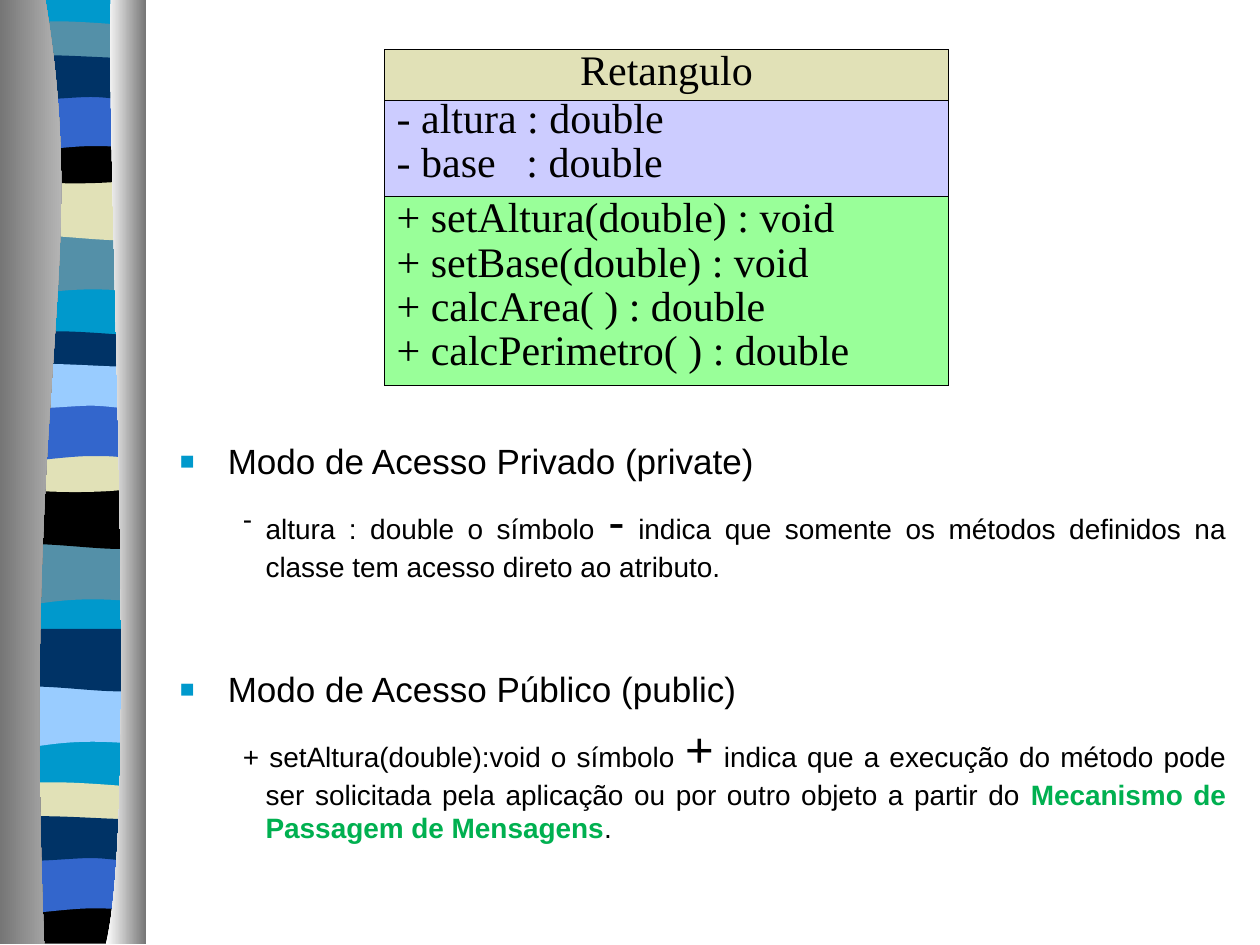
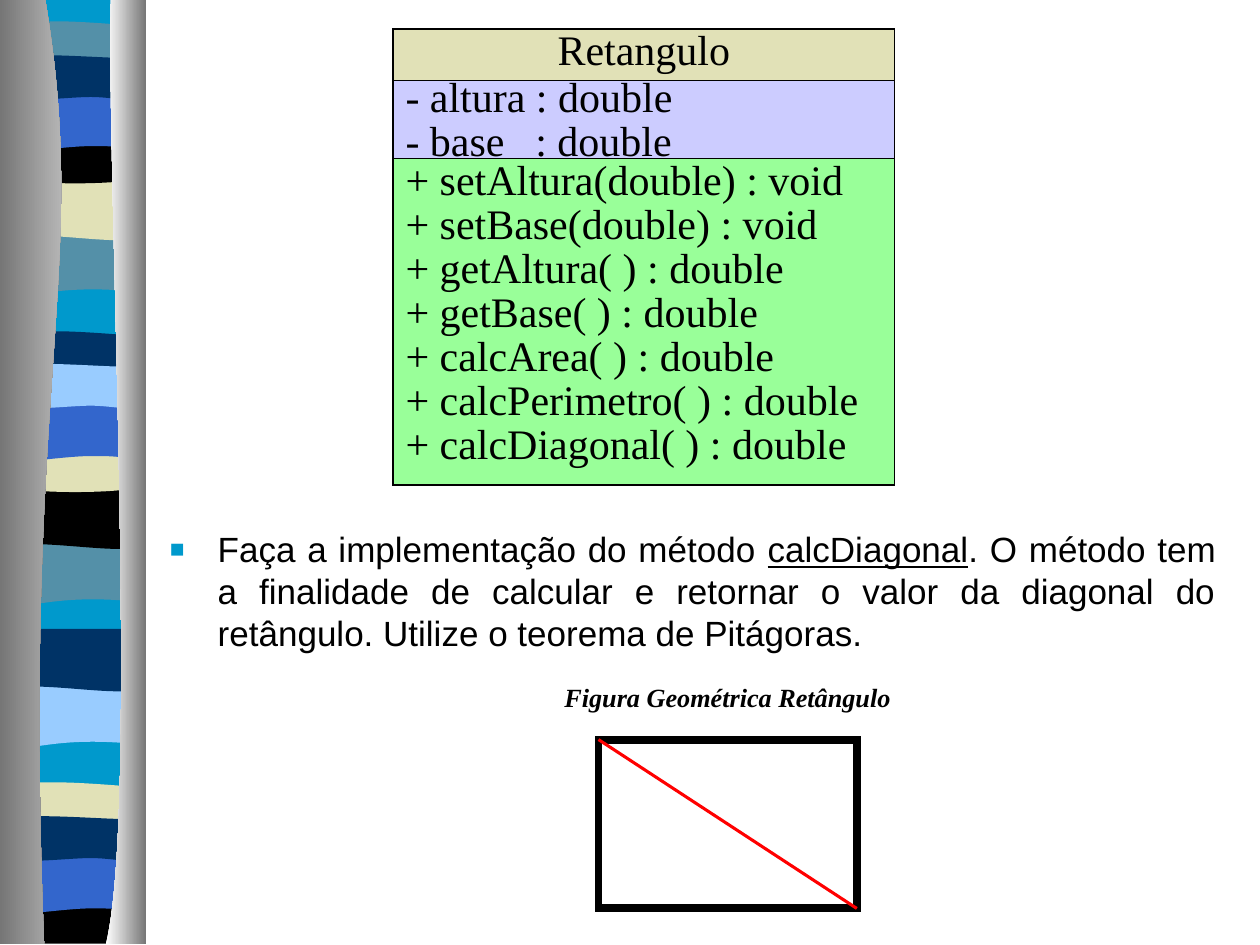
import pptx
import pptx.util
import pptx.dml.color
import pptx.enum.shapes
import pptx.enum.text
import lxml.etree

Inches, Pt = pptx.util.Inches, pptx.util.Pt
ALIGN = pptx.enum.text.PP_ALIGN
RECTANGLE = pptx.enum.shapes.MSO_SHAPE.RECTANGLE
A = "{http://schemas.openxmlformats.org/drawingml/2006/main}"

BLACK, TEAL, CYAN, SAND = "000000", "5490A8", "0099CC", "E1E1B7"
NAVY, ROYAL, SKY = "003366", "3366CC", "99CCFF"
LILAC, MINT, GREEN, RED = "CCCCFF", "99FF99", "00B050", "FF0000"
GREY, LIGHT_GREY, WHITE = "767676", "D3D3D3", "FFFFFF"
L, R = 0.05, 1.13

# Each outline is a start point, then line ends (2 numbers) or curves (6 numbers).
WAVES = {
    "dip": [(R, 0), (R, 0.47), (0.39, 0.39, 0.24, 0.55, L, 0.47), (L, 0)],
    "swell": [(R, 0), (R, 0.47), (0.96, 0.55, 0.39, 0.42, L, 0.47), (L, 0)],
    "thin": [(R, 0.05), (R, 0.29), (0.96, 0.34, 0.24, 0.34, L, 0.29), (L, 0.05),
             (0.12, 0, 0.29, 0.01, 0.47, 0.01), (0.65, 0.01, 1, 0.04, R, 0.05)],
    "bowl": [(R, 0), (R, 0.33), (0.96, 0.39, 0.24, 0.39, L, 0.33), (L, 0),
             (0.72, 0.05, 0.91, 0, R, 0)],
    "arch": [(R, 0), (R, 0.47), (0.97, 0.42, 0.9, 0.42, 0.72, 0.42),
             (0.54, 0.42, 0.22, 0.47, L, 0.47), (L, 0)],
    "ripple": [(R, 0.05), (R, 0.36), (1.07, 0.41, 0.9, 0.36, 0.72, 0.36),
               (0.54, 0.36, 0.17, 0.41, L, 0.36), (L, 0.05),
               (0.21, 0, 0.79, 0.05, 0.97, 0.05), (1.15, 0.05, 1.1, 0.05, R, 0.05)],
    "foot": [(R, 0), (R, 0.37), (L, 0.37), (L, 0), (0.71, 0.05, 0.9, 0, R, 0)],
    "backing": [(R, 0), (R, 7.47), (L, 7.47), (L, 0)],
}
RIBBON = [
    ("backing", 0, CYAN), ("dip", 1.85, TEAL), ("swell", 1.41, SAND),
    ("thin", 0.16, TEAL), ("bowl", 1.08, BLACK), ("arch", 0.74, ROYAL),
    ("ripple", 0.41, NAVY), ("dip", 4.31, TEAL), ("swell", 3.86, BLACK),
    ("thin", 2.62, NAVY), ("bowl", 3.53, SAND), ("arch", 3.2, ROYAL),
    ("ripple", 2.86, SKY), ("dip", 5.44, SKY), ("swell", 4.99, NAVY),
    ("thin", 6.2, SAND), ("foot", 7.12, BLACK), ("arch", 6.79, ROYAL),
    ("ripple", 6.45, NAVY),
]
CURTAINS = [
    ([(0.36, 0), (0.72, 2.16, 0.17, 2.96, 0.35, 7.49), (0, 7.49), (0, 0)],
     (GREY, LIGHT_GREY)),
    ([(0.88, 0), (0.84, 1.25, 1.11, 6.46, 0.84, 7.49), (1.16, 7.49), (1.16, 0)],
     (WHITE, GREY)),
]

ATTRIBUTES = ["- altura : double", "- base\t: double"]
SETTERS = ["+ setAltura(double) : void", "+ setBase(double) : void"]
GETTERS = ["+ getAltura( ) : double", "+ getBase( ) : double"]
CALCULATIONS = ["+ calcArea( ) : double", "+ calcPerimetro( ) : double"]

ACCESS_CLASS = {
    "left": 3.05, "width": 4.48,
    "sections": [(0.77, 0.79, LILAC, ATTRIBUTES), (0.39, 0.41, SAND, ["Retangulo"]),
                 (1.56, 1.5, MINT, SETTERS + CALCULATIONS)],
}
EXERCISE_CLASS = {
    "left": 3.12, "width": 3.98,
    "sections": [(0.6, 1.2, LILAC, ATTRIBUTES), (0.23, 0.41, SAND, ["Retangulo"]),
                 (1.26, 2.59, MINT, SETTERS + GETTERS + CALCULATIONS
                  + ["+ calcDiagonal( ) : double"])],
}

TOPIC = {"indent": (0.38, -0.38), "bullet": "■", "size": 20}
DETAIL = {"indent": (0.68, -0.18), "bullet": None, "size": 16}
DASHED = DETAIL | {"bullet": "-"}
ACCESS_MODES = [
    (TOPIC, 0, [("Modo de Acesso Privado (private)", {})]),
    (DASHED, 5, [
        ("altura : double o símbolo ", {}), ("-", {"size": 28}),
        (" indica que somente os métodos definidos na classe tem acesso direto "
         "ao atributo.", {})]),
    (TOPIC, 48.5, [("Modo de Acesso Público (public)", {})]),
    (DETAIL, 5, [
        ("+ setAltura(double):void o símbolo ", {}), ("+", {"size": 28}),
        (" indica que a execução do método pode ser solicitada pela aplicação ou "
         "por outro objeto a partir do ", {}),
        ("Mecanismo de Passagem de Mensagens", {"color": GREEN, "bold": True}),
        (".", {})]),
]
EXERCISE = [
    (TOPIC, 0, [
        ("Faça a implementação do método ", {}), ("calcDiagonal", {"underline": True}),
        (". O método tem a finalidade de calcular e retornar o valor da diagonal do "
         "retângulo. Utilize o teorema de Pitágoras.", {})]),
]
FIGURE = {"caption": "Figura Geométrica Retângulo", "caption_at": (4.37, 5.36, 2.81, 0.35),
          "at": (4.75, 5.87, 2.05, 1.34)}


def rgb(color):
    return pptx.dml.color.RGBColor.from_string(color)


def inches(*lengths):
    return [Inches(length) for length in lengths]


def style(run, size, font="Arial", color=BLACK, **flags):
    run.font.size = Pt(size)
    run.font.name = font
    run.font.color.rgb = rgb(color)
    for flag, value in flags.items():
        setattr(run.font, flag, value)


def add_outline(slide, outline, top=0):
    points = [(Inches(segment[i]), Inches(segment[i + 1] + top))
              for segment in outline for i in range(0, len(segment), 2)]
    builder = slide.shapes.build_freeform(*points[0])
    builder.add_line_segments(points[1:], close=False)
    area = builder.convert_to_shape()
    steps = iter(list(area._element.iter(A + "lnTo")))
    for segment in outline[1:]:
        step = next(steps)
        contour = step.getparent()
        if len(segment) == 6:
            curve = lxml.etree.Element(A + "cubicBezTo")
            contour.replace(step, curve)
            curve.append(step[0])
            for _ in range(2):
                control = next(steps)
                contour.remove(control)
                curve.append(control[0])
    lxml.etree.SubElement(contour, A + "close")
    area.shadow.inherit = False
    area.line.fill.background()
    return area


def add_ribbon(slide):
    for wave, top, color in RIBBON:
        stripe = add_outline(slide, WAVES[wave], top)
        stripe.fill.solid()
        stripe.fill.fore_color.rgb = rgb(color)
    for outline, colors in CURTAINS:
        curtain = add_outline(slide, outline)
        curtain.fill.gradient()
        curtain.fill.gradient_angle = 0
        for stop, color in zip(curtain.fill.gradient_stops, colors):
            stop.color.rgb = rgb(color)


def add_box(slide, at, line_width, fill=None):
    box = slide.shapes.add_shape(RECTANGLE, *inches(*at))
    box.shadow.inherit = False
    box.line.color.rgb = rgb(BLACK)
    box.line.width = Pt(line_width)
    lxml.etree.SubElement(box._element.spPr.find(A + "ln"), A + "miter", lim="800000")
    if fill:
        box.fill.solid()
        box.fill.fore_color.rgb = rgb(fill)
    else:
        box.fill.background()
    return box


def add_class(slide, diagram):
    for top, height, color, members in diagram["sections"]:
        section = add_box(slide, (diagram["left"], top, diagram["width"], height), 0.75, color)
        frame = section.text_frame
        frame.word_wrap = True
        frame.vertical_anchor = pptx.enum.text.MSO_ANCHOR.TOP
        frame.text = "\n".join(members)
        for index, paragraph in enumerate(frame.paragraphs):
            paragraph.alignment = ALIGN.CENTER if len(members) == 1 else ALIGN.LEFT
            paragraph.line_spacing = 0.75
            if index:
                paragraph.space_before = Pt(3.6)
            if "\t" in members[index]:
                tabs = lxml.etree.SubElement(paragraph._p.get_or_add_pPr(), A + "tabLst")
                lxml.etree.SubElement(tabs, A + "tab", pos=str(Inches(1.03)), algn="l")
            for run in paragraph.runs:
                style(run, 24, "Times New Roman")


def set_bullet(paragraph, indent, bullet):
    properties = paragraph._p.get_or_add_pPr()
    properties.set("marL", str(Inches(indent[0])))
    properties.set("indent", str(Inches(indent[1])))
    if bullet is None:
        lxml.etree.SubElement(properties, A + "buNone")
        return
    if bullet == "■":
        color = lxml.etree.SubElement(properties, A + "buClr")
        lxml.etree.SubElement(color, A + "srgbClr", val=CYAN)
        lxml.etree.SubElement(properties, A + "buSzPct", val="70000")
    lxml.etree.SubElement(properties, A + "buFont", typeface="Arial")
    lxml.etree.SubElement(properties, A + "buChar", char=bullet)


def add_body(slide, at, content):
    frame = slide.shapes.add_textbox(*inches(*at)).text_frame
    frame.word_wrap = True
    for index, (level, gap, pieces) in enumerate(content):
        paragraph = frame.add_paragraph() if index else frame.paragraphs[0]
        set_bullet(paragraph, level["indent"], level["bullet"])
        paragraph.alignment = ALIGN.JUSTIFY
        if gap:
            paragraph.space_before = Pt(gap)
        for words, changes in pieces:
            run = paragraph.add_run()
            run.text = words
            style(run, **({"size": level["size"]} | changes))


def add_figure(slide):
    left, top, width, height = FIGURE["at"]
    add_box(slide, FIGURE["at"], 4.5)
    frame = slide.shapes.add_textbox(*inches(*FIGURE["caption_at"])).text_frame
    frame.word_wrap = True
    frame.margin_left = frame.margin_right = 0
    frame.text = FIGURE["caption"]
    frame.paragraphs[0].alignment = ALIGN.CENTER
    style(frame.paragraphs[0].runs[0], 15, "Times New Roman", bold=True, italic=True)
    diagonal = slide.shapes.add_connector(
        pptx.enum.shapes.MSO_CONNECTOR.STRAIGHT,
        *inches(left, top, left + width, top + height))
    diagonal.line.color.rgb = rgb(RED)
    diagonal.line.width = Pt(1.75)
    lxml.etree.SubElement(diagonal._element.spPr, A + "effectLst")


def add_slide(deck):
    slide = deck.slides.add_slide(deck.slide_layouts[6])
    add_ribbon(slide)
    return slide


def main():
    deck = pptx.Presentation()
    deck.slide_width, deck.slide_height = inches(10, 7.5)

    access = add_slide(deck)
    add_body(access, (1.33, 3.44, 8.5, 3.52), ACCESS_MODES)
    add_class(access, ACCESS_CLASS)

    exercise = add_slide(deck)
    add_body(exercise, (1.25, 4.14, 8.5, 1.17), EXERCISE)
    add_class(exercise, EXERCISE_CLASS)
    add_figure(exercise)

    deck.save("out.pptx")


if __name__ == "__main__":
    main()
